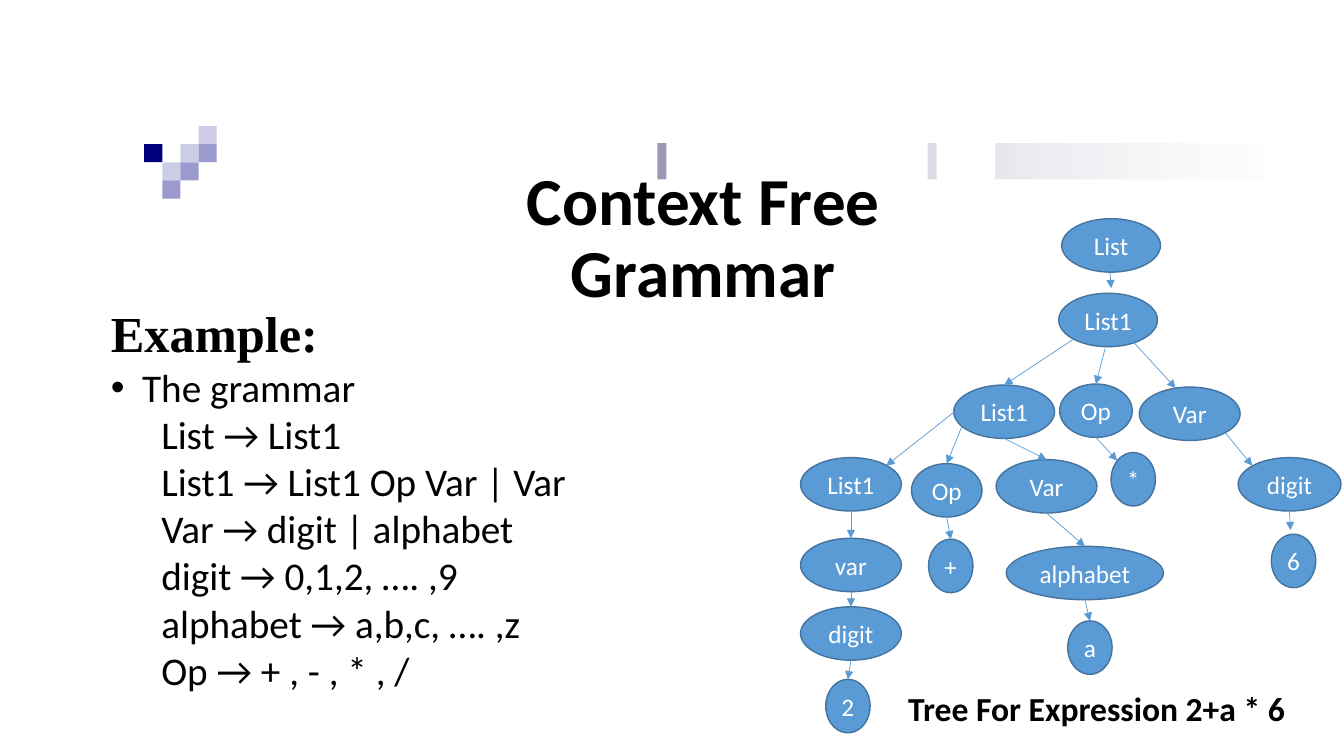
import pptx
import pptx.util
import pptx.dml.color
import pptx.enum.shapes
import pptx.enum.text
from lxml import etree

Inches, Pt = pptx.util.Inches, pptx.util.Pt
SHAPES = pptx.enum.shapes.MSO_SHAPE
ALIGN = pptx.enum.text.PP_ALIGN
ANCHOR = pptx.enum.text.MSO_ANCHOR
DRAWING = "http://schemas.openxmlformats.org/drawingml/2006/main"

COLORS = {"text": "000000", "node": "5B9BD5", "outline": "43739E", "label": "FFFFFF",
          "navy": "00007C", "mid": "9A9ACC", "pale": "CCCCE6"}

TITLE = "Context Free Grammar"
HEADING = "Example:"
INTRO = "The grammar"
RULES = ["List → List1", "List1 → List1 Op Var | Var", "Var → digit | alphabet",
         "digit → 0,1,2, …. ,9", "alphabet → a,b,c, …. ,z", "Op → + , - , * , /"]
CAPTION = "Tree For Expression 2+a * 6"

# Banner: checker cells as (column, row, color), then bars
CELL, CHECKER_LEFT, CHECKER_TOP = 0.18, 1.43, 1.25
CHECKER = [(3, 0, "pale"), (0, 1, "navy"), (2, 1, "pale"), (3, 1, "mid"),
           (1, 2, "pale"), (2, 2, "mid"), (1, 3, "mid")]
BAR_TOP, BAR_HEIGHT = 1.42, 0.36
SINGLE_BARS = [(6.52, "9A9AB7"), (9.2, "DBDBE4")]
# Fading strip: left edge and color of each slice
STRIP = [(9.87, "E6E6EC"), (9.96, "E7E7ED"), (10.05, "E8E8EE"), (10.09, "E9E9EE"),
         (10.14, "E9E9EF"), (10.18, "EAEAEF"), (10.27, "EBEBF0"), (10.32, "ECECF0"),
         (10.36, "ECECF1"), (10.41, "EDEDF1"), (10.5, "EEEEF2"), (10.58, "EFEFF3"),
         (10.67, "F0F0F3"), (10.72, "F0F0F4"), (10.76, "F1F1F4"), (10.85, "F1F1F5"),
         (10.9, "F2F2F5"), (10.99, "F3F3F6"), (11.12, "F4F4F6"), (11.17, "F4F4F7"),
         (11.21, "F5F5F7"), (11.3, "F5F5F8"), (11.34, "F6F6F8"), (11.48, "F7F7F9"),
         (11.61, "F8F8F9"), (11.66, "F8F8FA"), (11.75, "F9F9FA"), (11.88, "F9F9FB"),
         (11.92, "FAFAFB"), (12.1, "FBFBFB"), (12.15, "FBFBFC"), (12.33, "FCFCFC"),
         (12.41, "FCFCFD")]
STRIP_END = 12.55

# Parse tree: key -> (label, left, top, width)
NODE_HEIGHT = 0.53
NODES = {
    "root": ("List", 10.53, 2.17, 0.98),
    "product": ("List1", 10.5, 2.91, 0.98),
    "sum": ("List1", 9.46, 3.82, 1),
    "times op": ("Op", 10.51, 3.81, 0.72),
    "right var": ("Var", 11.3, 3.84, 1),
    "first list": ("List1", 7.94, 4.54, 1),
    "plus op": ("Op", 9.04, 4.6, 0.7),
    "middle var": ("Var", 9.88, 4.56, 1),
    "times": ("*", 11.02, 4.49, 0.44),
    "right digit": ("digit", 12.28, 4.54, 1.02),
    "first var": ("var", 7.94, 5.34, 1),
    "plus": ("+", 9.21, 5.35, 0.44),
    "alphabet": ("alphabet", 9.98, 5.42, 1.56),
    "six": ("6", 12.61, 5.3, 0.44),
    "first digit": ("digit", 7.94, 6.02, 1),
    "a": ("a", 10.59, 6.16, 0.44),
    "two": ("2", 8.19, 6.74, 0.44),
}
# (parent, child, start, end); None means parent's bottom or child's top
EDGES = [
    ("root", "product", (11, 2.53), (11.02, 2.86)),
    ("product", "sum", (10.64, 3.37), None),
    ("product", "times op", (10.96, 3.46), None),
    ("product", "right var", (11.22, 3.37), (11.66, 3.85)),
    ("sum", "first list", (9.46, 4.09), (8.79, 4.62)),
    ("sum", "plus op", (9.54, 4.23), None),
    ("sum", "middle var", None, None),
    ("times op", "times", None, (11.08, 4.57)),
    ("right var", "right digit", (12.15, 4.29), (12.42, 4.62)),
    ("plus op", "plus", None, None),
    ("right digit", "six", (12.78, 4.93), (12.8, 5.26)),
    ("first list", "first var", None, None),
    ("first var", "first digit", None, None),
    ("first digit", "two", None, None),
    ("middle var", "alphabet", None, None),
    ("alphabet", "a", None, None),
]


def rgb(name):
    return pptx.dml.color.RGBColor.from_string(COLORS.get(name, name))


def style(para, size, color="text", bold=False, font="Calibri"):
    for span in para.runs:
        span.font.name, span.font.size, span.font.bold = font, Pt(size), bold
        span.font.color.rgb = rgb(color)


def add_filled(kind, left, top, width, height, color):
    shape = page.shapes.add_shape(kind, Inches(left), Inches(top), Inches(width), Inches(height))
    shape.shadow.inherit = False
    shape.fill.solid()
    shape.fill.fore_color.rgb = rgb(color)
    shape.line.fill.background()
    return shape


def place(shape, left, top, width, height):
    shape.left, shape.top = Inches(left), Inches(top)
    shape.width, shape.height = Inches(width), Inches(height)


def set_bullet(para, margin, hanging, bullet=None):
    props = para._p.get_or_add_pPr()
    props.set("marL", str(Inches(margin)))
    props.set("indent", str(-Inches(hanging)))
    mark = etree.SubElement(props, f"{{{DRAWING}}}" + ("buChar" if bullet else "buNone"))
    if bullet:
        mark.set("char", bullet)


deck = pptx.Presentation()
deck.slide_width, deck.slide_height = Inches(13.33), Inches(7.5)
page = deck.slides.add_slide(deck.slide_layouts[1])

# Banner
for column, row, color in CHECKER:
    add_filled(SHAPES.RECTANGLE, CHECKER_LEFT + column * CELL, CHECKER_TOP + row * CELL,
               CELL, CELL, color)
bars = [(left, left + 0.09, color) for left, color in SINGLE_BARS]
edges_right = [left for left, _ in STRIP[1:]] + [STRIP_END]
bars += [(left, right, color) for (left, color), right in zip(STRIP, edges_right)]
for left, right, color in bars:
    add_filled(SHAPES.RECTANGLE, left, BAR_TOP, right - left, BAR_HEIGHT, color)

# Title
title = page.shapes.title
place(title, 3.97, 2.01, 6.01, 0.74)
frame = title.text_frame
frame.text = TITLE
frame.word_wrap, frame.vertical_anchor = True, ANCHOR.MIDDLE
frame.auto_size = pptx.enum.text.MSO_AUTO_SIZE.NONE
frame.margin_left = frame.margin_right = frame.margin_top = frame.margin_bottom = 0
frame.paragraphs[0].alignment, frame.paragraphs[0].line_spacing = ALIGN.CENTER, 0.9
style(frame.paragraphs[0], 48, bold=True)

# Grammar rules
body = page.placeholders[1]
place(body, 1, 2.95, 6.5, 4.44)
frame = body.text_frame
frame.auto_size = pptx.enum.text.MSO_AUTO_SIZE.NONE
frame.text = "\n".join([HEADING, INTRO] + RULES)
for index, para in enumerate(frame.paragraphs):
    para.space_before = Pt(0)
    if index == 0:
        set_bullet(para, 0, 0)
        style(para, 36, bold=True, font="Times New Roman")
        continue
    para.line_spacing = Pt(33.7)
    if index == 1:
        set_bullet(para, 0.31, 0.31, "•")
    else:
        set_bullet(para, 0.5, 0)
    style(para, 28)

# Tree nodes
ovals = {}
for key, (label, left, top, width) in NODES.items():
    oval = ovals[key] = add_filled(SHAPES.OVAL, left, top, width, NODE_HEIGHT, "node")
    oval.line.color.rgb, oval.line.width = rgb("outline"), Pt(1)
    frame = oval.text_frame
    frame.text = label
    frame.word_wrap, frame.vertical_anchor = False, ANCHOR.MIDDLE
    frame.paragraphs[0].alignment = ALIGN.CENTER
    style(frame.paragraphs[0], 18, "label")

# Tree arrows
for parent, child, start, end in EDGES:
    _, left, top, width = NODES[parent]
    start_x, start_y = start or (left + width / 2, top + NODE_HEIGHT)
    _, left, top, width = NODES[child]
    end_x, end_y = end or (left + width / 2, top)
    arrow = page.shapes.add_connector(pptx.enum.shapes.MSO_CONNECTOR.STRAIGHT, Inches(start_x),
                                      Inches(start_y), Inches(end_x), Inches(end_y))
    if end is None:
        arrow.end_connect(ovals[child], 0)
    arrow.line.color.rgb, arrow.line.width = rgb("node"), Pt(0.5)
    etree.SubElement(arrow.line._get_or_add_ln(), f"{{{DRAWING}}}tailEnd", type="triangle")
    etree.SubElement(arrow._element.spPr, f"{{{DRAWING}}}effectLst")

# Caption
caption = page.shapes.add_textbox(Inches(8.91), Inches(6.78), Inches(3.97), Inches(0.5))
caption.text_frame.text = CAPTION
caption.text_frame.word_wrap = False
style(caption.text_frame.paragraphs[0], 24, bold=True)

deck.save("out.pptx")
